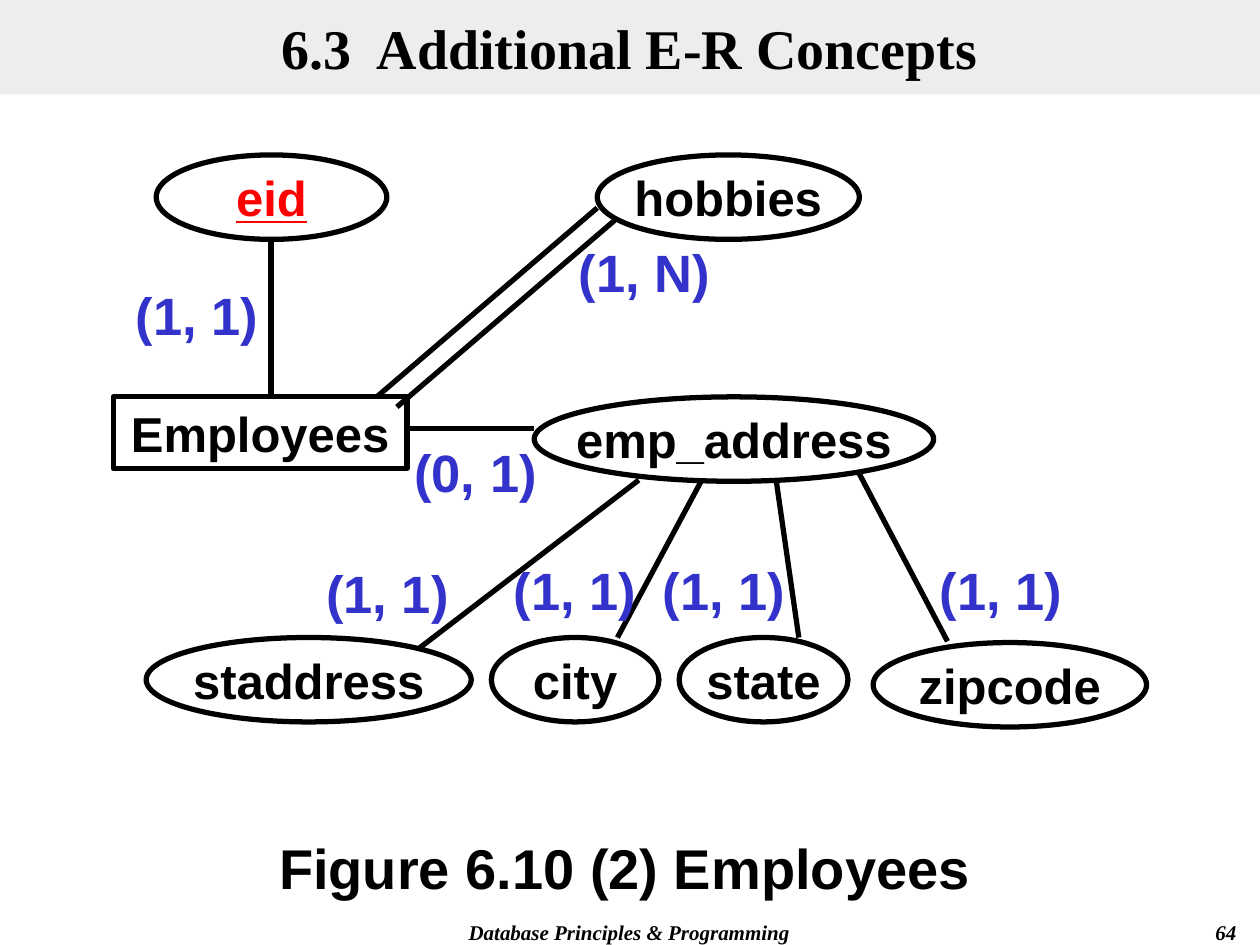
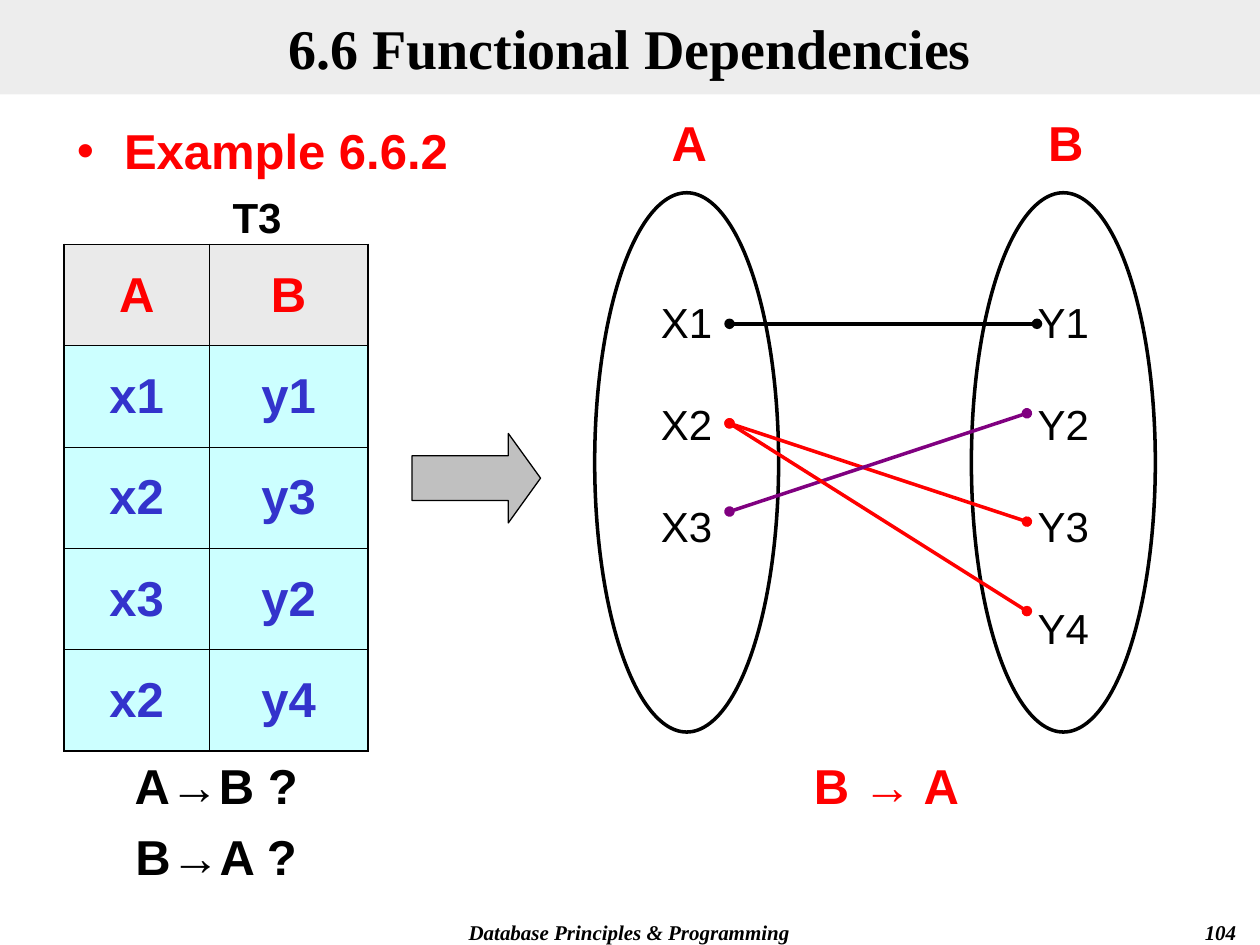
import dataclasses
import itertools
import typing

import lxml.etree
import pptx
import pptx.dml.color
import pptx.enum.shapes
import pptx.enum.text
import pptx.oxml.ns
import pptx.util

EMU_PER_PX = 9144
PAGE_WIDTH, PAGE_HEIGHT = 1000, 750
COLORS = {
    "black": "000000",
    "red": "FF0000",
    "blue": "3333CC",
    "purple": "800080",
    "bullet": "996633",
    "title_band": "DDDDDD",
    "header_cell": "EAEAEA",
    "data_cell": "CCFFFF",
    "arrow": "C0C0C0",
}
ALIGN = pptx.enum.text.PP_ALIGN
ANCHOR = pptx.enum.text.MSO_ANCHOR
SHAPE = pptx.enum.shapes.MSO_SHAPE


@dataclasses.dataclass(frozen=True)
class TextStyle:
    size: int
    color: str = "black"
    font: str = "Arial"
    bold: bool = True
    italic: bool = False
    underline: bool = False
    align: typing.Any = ALIGN.CENTER
    space_before: int = 0
    line_spacing: float = 1.0


class Area(typing.NamedTuple):
    left: int
    top: int
    width: int
    height: int


class Label(typing.NamedTuple):
    text: str
    area: Area
    style: TextStyle


class Link(typing.NamedTuple):
    x1: int
    y1: int
    x2: int
    y2: int
    color: str = "black"


TITLE = TextStyle(32, font="Times New Roman")
FOOTER = TextStyle(12, font="Times New Roman", italic=True)
PAGE_NUMBER = dataclasses.replace(FOOTER, align=ALIGN.RIGHT)
ENTITY = TextStyle(28)
KEY = TextStyle(28, "red", underline=True)
CARDINALITY = TextStyle(30, "blue")
CAPTION = TextStyle(32)
HEADING = TextStyle(28, "red")
EXAMPLE = dataclasses.replace(HEADING, align=ALIGN.LEFT)
DATA = TextStyle(28, "blue")
TABLE_NAME = TextStyle(24)
QUESTION = TextStyle(28, space_before=7)
MEMBER = TextStyle(24, bold=False, space_before=15, line_spacing=1.5)


def px(length: int) -> int:
    return pptx.util.Emu(length * EMU_PER_PX)


def rgb(name: str) -> pptx.dml.color.RGBColor:
    return pptx.dml.color.RGBColor.from_string(COLORS[name])


def add_xml(parent, tag: str, **attributes: str):
    return lxml.etree.SubElement(parent, pptx.oxml.ns.qn(tag), attributes)


def place(shape, area: Area) -> None:
    shape.left, shape.top, shape.width, shape.height = map(px, area)


def write(frame, text: str, style: TextStyle) -> None:
    frame.text = text
    for index, para in enumerate(frame.paragraphs):
        para.alignment = style.align
        para.line_spacing = style.line_spacing
        para.space_before = pptx.util.Pt(style.space_before if index else 0)
        for span in para.runs:
            span.font.name = style.font
            span.font.size = pptx.util.Pt(style.size)
            span.font.bold = style.bold
            span.font.italic = style.italic
            span.font.underline = style.underline
            span.font.color.rgb = rgb(style.color)


def add_label(page, label: Label) -> None:
    box = page.shapes.add_textbox(*map(px, label.area))
    box.text_frame.word_wrap = True
    write(box.text_frame, label.text, label.style)


def add_outline(page, kind, area: Area, width: float, fill: str = ""):
    shape = page.shapes.add_shape(kind, *map(px, area))
    shape.shadow.inherit = False
    if fill:
        shape.fill.solid()
        shape.fill.fore_color.rgb = rgb(fill)
    else:
        shape.fill.background()
    shape.line.color.rgb = rgb("black")
    shape.line.width = pptx.util.Pt(width)
    return shape


def add_node(page, kind, node: Label) -> None:
    frame = add_outline(page, kind, node.area, 3).text_frame
    frame.word_wrap = False
    frame.vertical_anchor = ANCHOR.MIDDLE
    write(frame, node.text, node.style)


def add_link(page, link: Link, width: int, dots: bool = False) -> None:
    ends = map(px, (link.x1, link.y1, link.x2, link.y2))
    connector = page.shapes.add_connector(
        pptx.enum.shapes.MSO_CONNECTOR.STRAIGHT, *ends)
    connector.line.color.rgb = rgb(link.color)
    connector.line.width = pptx.util.Pt(width)
    properties = connector.element.spPr
    if dots:
        outline = properties.find(pptx.oxml.ns.qn("a:ln"))
        for tag in ("a:headEnd", "a:tailEnd"):
            add_xml(outline, tag, type="oval")
    add_xml(properties, "a:effectLst")


def add_page(deck, layout: int, title: str, number: int):
    page = deck.slides.add_slide(deck.slide_layouts[layout])
    band = page.shapes.title
    place(band, Area(0, 0, PAGE_WIDTH, 75))
    band.fill.solid()
    band.fill.fore_color.rgb = rgb("title_band")
    color = band.element.spPr.find(".//" + pptx.oxml.ns.qn("a:srgbClr"))
    add_xml(color, "a:alpha", val="50000")
    band.text_frame.auto_size = pptx.enum.text.MSO_AUTO_SIZE.NONE
    band.text_frame.vertical_anchor = ANCHOR.MIDDLE
    write(band.text_frame, title, TITLE)
    add_label(page, Label("Database Principles & Programming",
                          Area(283, 725, 433, 25), FOOTER))
    add_label(page, Label(str(number), Area(783, 725, 208, 25), PAGE_NUMBER))
    return page


def add_relation_table(page, area: Area, rows: list[str]) -> None:
    table = page.shapes.add_table(len(rows), 2, *map(px, area)).table
    table.first_row = table.horz_banding = False
    for column, width in zip(table.columns, (115, 126)):
        column.width = px(width)
    last_row, last_column = len(rows) - 1, 1
    for row, column in itertools.product(range(len(rows)), range(2)):
        cell = table.cell(row, column)
        outer_edges = {"a:lnL": column == 0, "a:lnR": column == last_column,
                       "a:lnT": row == 0, "a:lnB": row == last_row}
        properties = cell._tc.get_or_add_tcPr()
        for tag, outer in outer_edges.items():
            width = pptx.util.Pt(1.08 if outer else 0.45)
            border = add_xml(properties, tag, w=str(width))
            fill = add_xml(border, "a:solidFill")
            add_xml(fill, "a:srgbClr", val=COLORS["black"])
        cell.fill.solid()
        cell.fill.fore_color.rgb = rgb("data_cell" if row else "header_cell")
        cell.vertical_anchor = ANCHOR.MIDDLE
        write(cell.text_frame, rows[row].split()[column],
              DATA if row else HEADING)


def build_employees(deck) -> None:
    page = add_page(deck, 5, "6.3  Additional E-R Concepts", 64)
    add_node(page, SHAPE.RECTANGLE,
             Label("Employees", Area(90, 315, 233, 57), ENTITY))
    attributes = [
        ("eid", 124, 123, 183), ("hobbies", 474, 123, 208),
        ("emp_address", 424, 315, 317), ("staddress", 116, 506, 258),
        ("city", 390, 506, 133), ("state", 539, 506, 134),
        ("zipcode", 693, 510, 217),
    ]
    for name, left, top, width in attributes:
        add_node(page, SHAPE.OVAL, Label(name, Area(left, top, width, 67),
                                         KEY if name == "eid" else ENTITY))
    links = [
        Link(215, 190, 215, 315), Link(424, 340, 324, 340),
        Link(474, 165, 299, 315), Link(490, 173, 315, 323),
        Link(507, 381, 332, 515), Link(557, 381, 490, 506),
        Link(616, 381, 634, 506), Link(682, 376, 752, 509),
    ]
    for link in links:
        add_link(page, link, 3)
    cardinalities = [
        ("(1, 1)", 90, 220), ("(0, 1)", 311, 344), ("(1, N)", 445, 186),
        ("(1, 1)", 241, 440), ("(1, 1)", 390, 438), ("(1, 1)", 508, 438),
        ("(1, 1)", 728, 438),
    ]
    for text, left, top in cardinalities:
        add_label(page, Label(text, Area(left, top, 133, 60), CARDINALITY))
    add_label(page, Label("Figure 6.10 (2) Employees",
                          Area(67, 657, 858, 64), CAPTION))


def add_example(page) -> None:
    body = page.placeholders[1]
    place(body, Area(51, 91, 900, 617))
    frame = body.text_frame
    frame.auto_size = pptx.enum.text.MSO_AUTO_SIZE.NONE
    frame.text = "Example 6.6.2"
    properties = frame.paragraphs[0]._p.get_or_add_pPr()
    properties.set("marL", str(px(38)))
    properties.set("indent", str(px(-38)))
    bullet_color = add_xml(properties, "a:buClr")
    add_xml(bullet_color, "a:srgbClr", val=COLORS["bullet"])
    add_xml(properties, "a:buChar", char="❑")
    write(frame, frame.text, EXAMPLE)


def build_dependencies(deck) -> None:
    page = add_page(deck, 1, "6.6 Functional Dependencies", 104)
    add_example(page)
    add_relation_table(page, Area(51, 194, 241, 402),
                       ["A B", "x1 y1", "x2 y3", "x3 y2", "x2 y4"])
    for name, left, members in [("A", 472, "X1\nX2\nX3"),
                                ("B", 771, "Y1\nY2\nY3\nY4")]:
        oval = add_outline(page, SHAPE.OVAL, Area(left, 153, 146, 428), 2)
        frame = oval.text_frame
        frame.margin_top = frame.margin_bottom = 0
        frame.vertical_anchor = ANCHOR.TOP
        write(frame, members, MEMBER)
        add_label(page, Label(name, Area(left + 12, 84, 126, 57), HEADING))
    mappings = [
        Link(579, 257, 823, 257), Link(579, 336, 815, 414, "red"),
        Link(579, 406, 815, 328, "purple"), Link(579, 336, 815, 485, "red"),
    ]
    for mapping in mappings:
        add_link(page, mapping, 2, dots=True)
    arrow = add_outline(page, SHAPE.RIGHT_ARROW, Area(327, 344, 102, 71),
                        0.75, "arrow")
    arrow.adjustments[1] = 0.36
    labels = [
        Label("T3", Area(133, 147, 142, 50), TABLE_NAME),
        Label("B → A", Area(616, 595, 175, 57), HEADING),
        Label("A→B ?\nB→A ?", Area(84, 595, 175, 113), QUESTION),
    ]
    for label in labels:
        add_label(page, label)


def main() -> None:
    deck = pptx.Presentation()
    deck.slide_width, deck.slide_height = px(PAGE_WIDTH), px(PAGE_HEIGHT)
    build_employees(deck)
    build_dependencies(deck)
    deck.save("out.pptx")


if __name__ == "__main__":
    main()
